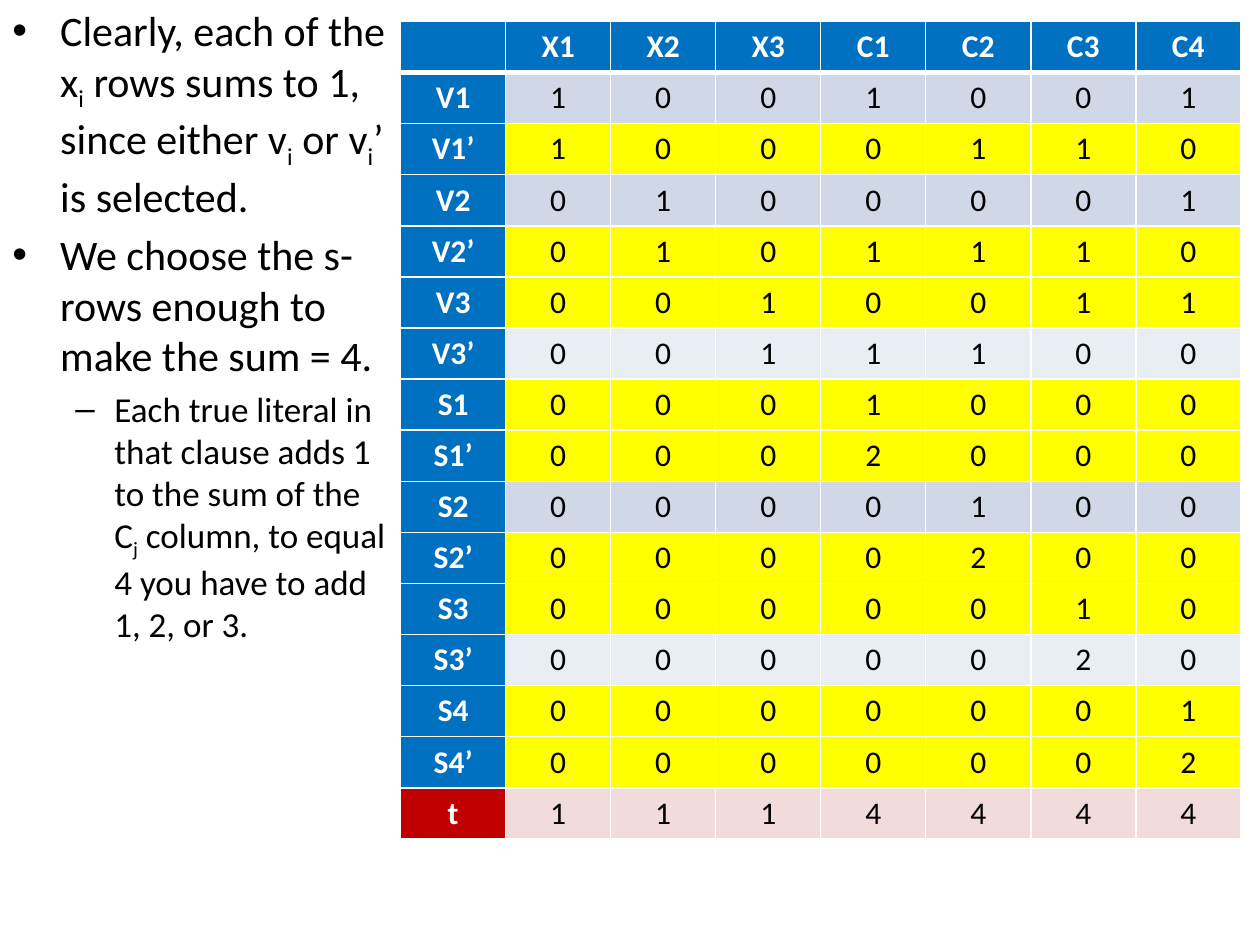
"""Build the slide on row selection in a subset-sum table."""
from lxml import etree
from pptx import Presentation
from pptx import util as u
from pptx.dml.color import RGBColor
from pptx.enum import text
from pptx.oxml import ns

COLORS = {
    "header": "0070C0", "target": "C00000", "target_row": "F2DCDB",
    "selected": "FFFF00", "odd": "D0D8E8", "even": "E9EDF4",
    "white": "FFFFFF", "black": "000000",
}
BULLETS = [
    (0, "•", 24, 0, 0.38, -0.38,
     "Clearly, each of the x_i_ rows sums to 1, since either v_i_ or v_i_’ is selected."),
    (0, "•", 24, 4.8, 0.38, -0.38, "We choose the s-rows enough to make the sum = 4."),
    (1, "–", 20, 4, 0.81, -0.31,
     "Each true literal in that clause adds 1 to the sum of the C_j_ column, "
     "to equal 4 you have to add 1, 2, or 3."),
]
HEADINGS = ["", "X1", "X2", "X3", "C1", "C2", "C3", "C4"]
DIGITS = {
    "V1": "1001001", "V1’": "1000110", "V2": "0100001", "V2’": "0101110",
    "V3": "0010011", "V3’": "0011100", "S1": "0001000", "S1’": "0002000",
    "S2": "0000100", "S2’": "0000200", "S3": "0000010", "S3’": "0000020",
    "S4": "0000001", "S4’": "0000002", "t": "1114444",
}
SELECTED = {"V1’", "V2’", "V3", "S1", "S1’", "S2’", "S3", "S4", "S4’"}


def add_run(paragraph, content, size, color, bold=False):
    run = paragraph.add_run()
    run.text = content
    formats = {"name": "Calibri", "size": u.Pt(size), "bold": bold}
    for name, value in formats.items():
        setattr(run.font, name, value)
    run.font.color.rgb = RGBColor.from_string(COLORS[color])
    return run


def add_border(cell, side, width):
    properties = cell._tc.get_or_add_tcPr()
    line = etree.SubElement(properties, ns.qn(f"a:ln{side}"), w=str(u.Pt(width)))
    fill = etree.SubElement(line, ns.qn("a:solidFill"))
    etree.SubElement(fill, ns.qn("a:srgbClr"), val=COLORS["white"])


presentation = Presentation()
presentation.slide_width = u.Inches(10)
presentation.slide_height = u.Inches(7.5)
slide = presentation.slides.add_slide(presentation.slide_layouts[6])

explanation = slide.shapes.add_textbox(
    u.Inches(0), u.Inches(-0.01), u.Inches(3.17), u.Inches(6.66))
frame = explanation.text_frame
frame.word_wrap = True
for index, (level, mark, size, space, margin, indent, content) in enumerate(BULLETS):
    paragraph = frame.add_paragraph() if index else frame.paragraphs[0]
    properties = paragraph._p.get_or_add_pPr()
    properties.set("marL", str(u.Inches(margin)))
    properties.set("indent", str(u.Inches(indent)))
    etree.SubElement(properties, ns.qn("a:buFont"), typeface="Arial")
    etree.SubElement(properties, ns.qn("a:buChar"), char=mark)
    paragraph.level = level
    paragraph.space_before = u.Pt(space)
    for part, words in enumerate(content.split("_")):
        run = add_run(paragraph, words, size, "black")
        if part % 2:
            run._r.get_or_add_rPr().set("baseline", "-25000")

rows = [HEADINGS] + [[label, *digits] for label, digits in DIGITS.items()]
table = slide.shapes.add_table(
    len(rows), len(HEADINGS),
    u.Inches(3.18), u.Inches(0.17), u.Inches(6.67), u.Inches(6.49)).table
table.horz_banding = False
for row_index, values in enumerate(rows):
    label = values[0]
    if label == "t":
        row_fill = "target_row"
    elif label in SELECTED:
        row_fill = "selected"
    else:
        row_fill = "odd" if row_index % 2 else "even"
    for column_index, value in enumerate(values):
        cell = table.cell(row_index, column_index)
        heading = row_index == 0 or column_index == 0
        fill = row_fill
        if heading:
            fill = "target" if label == "t" else "header"
        borders = {"L": 1, "R": 1, "T": 3 if row_index == 1 else 1,
                   "B": 3 if row_index == 0 else 1}
        for side, width in borders.items():
            add_border(cell, side, width)
        cell.fill.solid()
        cell.fill.fore_color.rgb = RGBColor.from_string(COLORS[fill])
        paragraph = cell.text_frame.paragraphs[0]
        paragraph.alignment = text.PP_ALIGN.CENTER
        if value:
            add_run(paragraph, value, 18, "white" if heading else "black", heading)

presentation.save("out.pptx")
